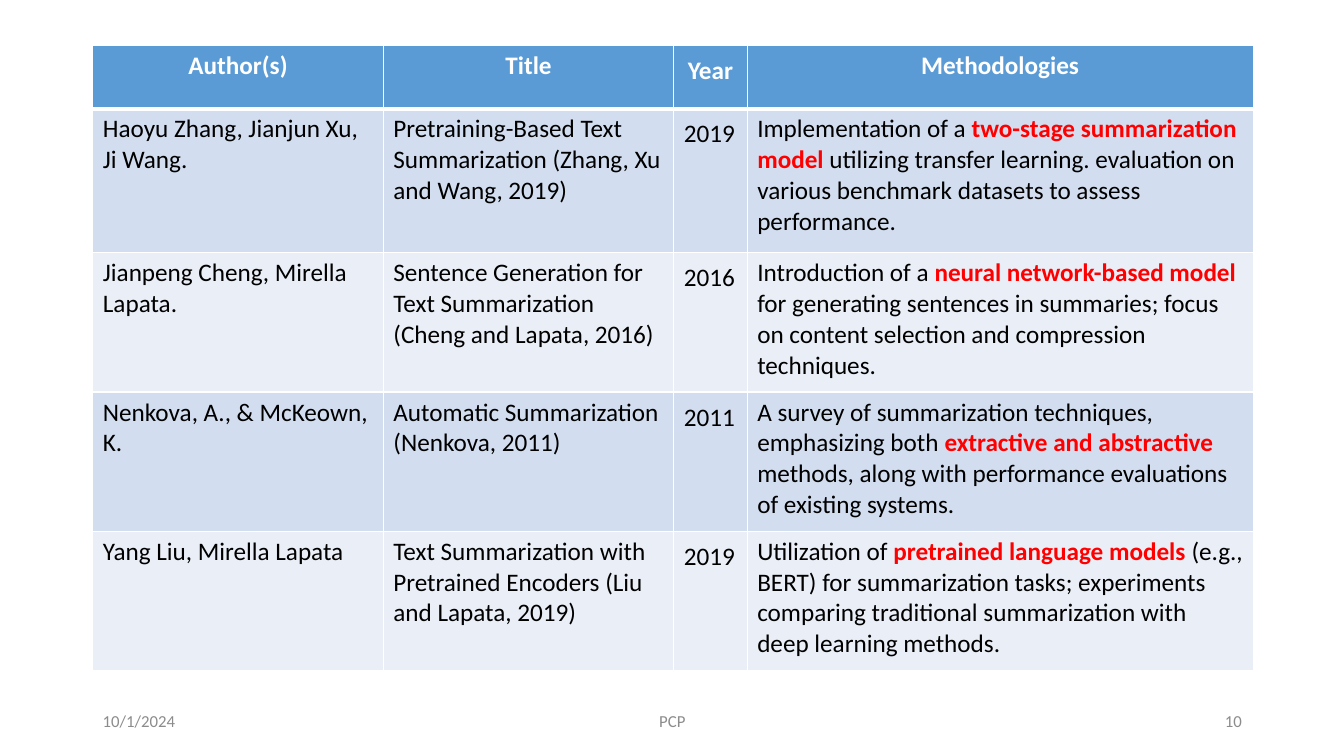
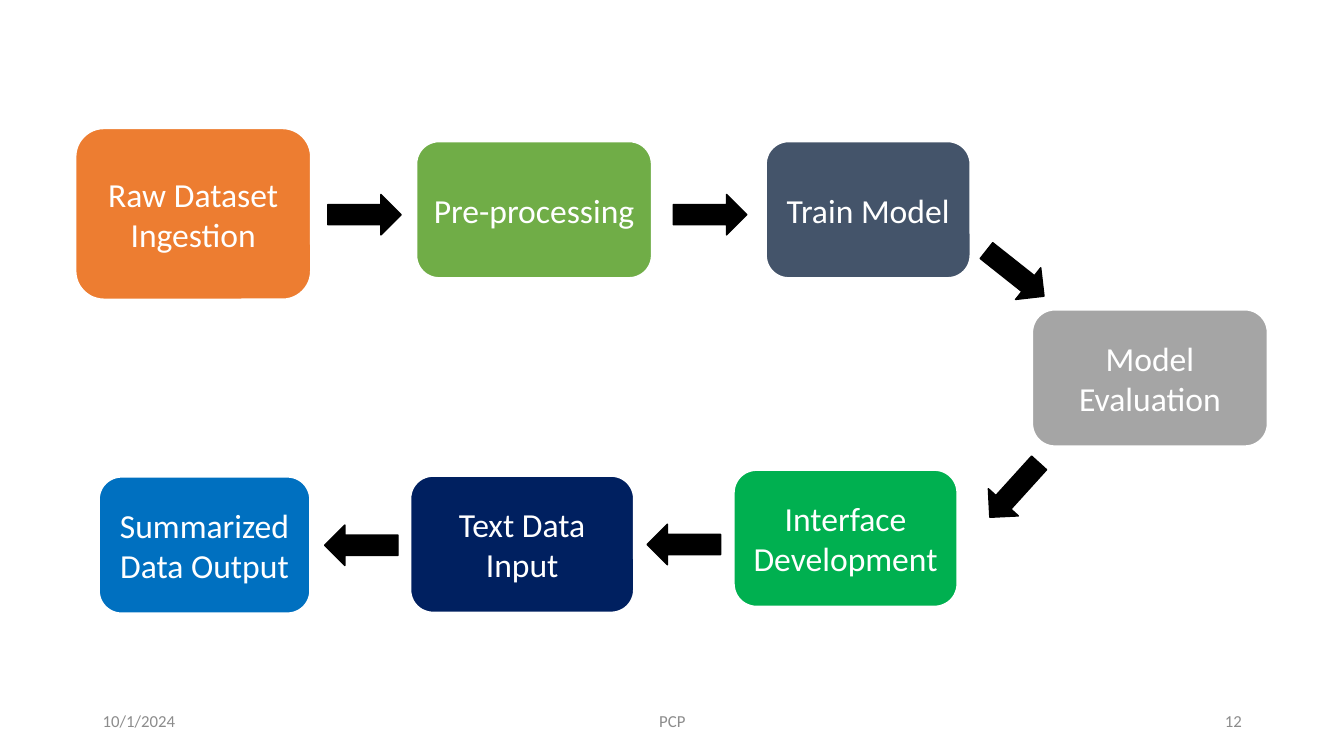
"""Build a literature table slide and a process flow slide with shared footers."""
from dataclasses import dataclass

from lxml import etree
from pptx import Presentation
from pptx import util as u
from pptx.dml.color import RGBColor
from pptx.enum import shapes, text
from pptx.oxml import ns

LEFT, CENTER, RIGHT = text.PP_ALIGN.LEFT, text.PP_ALIGN.CENTER, text.PP_ALIGN.RIGHT


@dataclass(frozen=True)
class Theme:
    font: str = "Calibri"
    white: str = "FFFFFF"
    black: str = "000000"
    muted: str = "8C8C8C"
    strong: str = "FF0000"
    header: str = "5B9BD5"
    bands: tuple = ("D2DEEF", "EAEFF7")
    footer_size: int = 12
    table_size: int = 18
    step_size: int = 24


THEME = Theme()

DATE, COURSE = "10/1/2024", "PCP"
FOOTER_TOP, FOOTER_HEIGHT = 17.65, 1.02

HEADINGS = ("Author(s)", "Title", "Year", "Methodologies")
STUDIES = [
    ("Haoyu Zhang, Jianjun Xu, Ji Wang.",
     "Pretraining-Based Text Summarization (Zhang, Xu and Wang, 2019)", "2019",
     ("Implementation of a ", "two-stage summarization model",
      " utilizing transfer learning. evaluation on various benchmark datasets to assess performance.")),
    ("Jianpeng Cheng, Mirella Lapata.",
     "Sentence Generation for Text Summarization (Cheng and Lapata, 2016)", "2016",
     ("Introduction of a ", "neural network-based model ",
      "for generating sentences in summaries; focus on content selection and compression techniques.")),
    ("Nenkova, A., & McKeown, K.",
     "Automatic Summarization (Nenkova, 2011)", "2011",
     ("A survey of summarization techniques, emphasizing both ", "extractive and abstractive",
      " methods, along with performance evaluations of existing systems.")),
    ("Yang Liu, Mirella Lapata",
     "Text Summarization with Pretrained Encoders (Liu and Lapata, 2019)", "2019",
     ("Utilization of ", "pretrained language models",
      " (e.g., BERT) for summarization tasks; experiments comparing traditional summarization"
      " with deep learning methods.")),
]
TABLE_LEFT, TABLE_TOP = 2.34, 1.14
COLUMN_WIDTHS = (7.32, 7.32, 1.85, 12.75)
ROW_HEIGHTS = (1.6, 3.63, 3.51, 3.51, 3.51)
YEAR_COLUMN = HEADINGS.index("Year")
YEAR_MARGIN_TOP = 0.25

STEP_HEIGHT, FIRST_STEP_HEIGHT = 3.45, 4.32
STEPS = [
    ("Raw Dataset Ingestion", "ED7D31", 1.9, 3.23, 5.94, FIRST_STEP_HEIGHT),
    ("Pre-processing", "70AD47", 10.49, 3.56, 5.94, STEP_HEIGHT),
    ("Train Model", "44546A", 19.3, 3.56, 5.16, STEP_HEIGHT),
    ("Model Evaluation", "A5A5A5", 26.01, 7.8, 5.94, STEP_HEIGHT),
    ("Interface Development", "00B050", 18.49, 11.84, 5.64, STEP_HEIGHT),
    ("Text Data Input", "002060", 10.34, 11.99, 5.64, STEP_HEIGHT),
    ("Summarized Data Output", "0070C0", 2.49, 12.01, 5.33, STEP_HEIGHT),
]
ARROW_SIZE = (1.85, 1.02)
ARROWS = [(8.26, 4.9, 0), (16.97, 4.9, 0), (24.66, 6.38, 38.4),
          (24.64, 11.84, 132.2), (16.31, 13.21, 180), (8.18, 13.23, 180)]


def cm(*lengths):
    return [u.Cm(length) for length in lengths]


def rgb(color):
    return RGBColor.from_string(color)


def write(frame, parts, size, color, align=LEFT, bold=False):
    paragraph = frame.paragraphs[0]
    paragraph.alignment = align
    for index, part in enumerate(parts):
        emphasized = index == 1
        run = paragraph.add_run()
        run.text = part
        run.font.name = THEME.font
        run.font.size = u.Pt(size)
        run.font.bold = bold or emphasized
        run.font.color.rgb = rgb(THEME.strong if emphasized else color)


def add_footer(slide, number):
    for content, left, width, align in ((DATE, 2.34, 7.62, LEFT),
                                        (COURSE, 11.23, 11.43, CENTER),
                                        (str(number), 23.93, 7.62, RIGHT)):
        frame = slide.shapes.add_textbox(*cm(left, FOOTER_TOP, width, FOOTER_HEIGHT)).text_frame
        frame.word_wrap = True
        frame.vertical_anchor = text.MSO_ANCHOR.MIDDLE
        write(frame, [content], THEME.footer_size, THEME.muted, align)


def add_slide(deck, number):
    slide = deck.slides.add_slide(deck.slide_layouts[6])
    add_footer(slide, number)
    return slide


def set_borders(cell, top, bottom):
    properties = cell._tc.get_or_add_tcPr()
    for side, points in (("L", 1), ("R", 1), ("T", top), ("B", bottom)):
        line = etree.SubElement(properties, ns.qn(f"a:ln{side}"), w=str(u.Pt(points)))
        fill = etree.SubElement(line, ns.qn("a:solidFill"))
        etree.SubElement(fill, ns.qn("a:srgbClr"), val=THEME.white)


def add_studies(slide):
    rows = [HEADINGS, *STUDIES]
    table = slide.shapes.add_table(
        len(rows), len(HEADINGS),
        *cm(TABLE_LEFT, TABLE_TOP, sum(COLUMN_WIDTHS), sum(ROW_HEIGHTS))).table
    for column, width in zip(table.columns, COLUMN_WIDTHS):
        column.width = u.Cm(width)
    for r, (row, height) in enumerate(zip(rows, ROW_HEIGHTS)):
        table.rows[r].height = u.Cm(height)
        heading = r == 0
        for c, content in enumerate(row):
            cell = table.cell(r, c)
            set_borders(cell, 3 if r == 1 else 1, 3 if heading else 1)
            cell.fill.solid()
            cell.fill.fore_color.rgb = rgb(THEME.header if heading else THEME.bands[(r - 1) % 2])
            if c == YEAR_COLUMN:
                cell.margin_top = u.Cm(YEAR_MARGIN_TOP)
            parts = [content] if isinstance(content, str) else content
            write(cell.text_frame, parts, THEME.table_size,
                  THEME.white if heading else THEME.black,
                  CENTER if heading else LEFT, heading)


def add_block(slide, preset, bounds, fill, line, points):
    block = slide.shapes.add_shape(preset, *cm(*bounds))
    block.shadow.inherit = False
    block.fill.solid()
    block.fill.fore_color.rgb = rgb(fill)
    block.line.color.rgb = rgb(line)
    block.line.width = u.Pt(points)
    return block


def add_flow(slide):
    for label, color, *bounds in STEPS:
        step = add_block(slide, shapes.MSO_SHAPE.ROUNDED_RECTANGLE, bounds, color, THEME.white, 1.5)
        step.text_frame.word_wrap = True
        step.text_frame.vertical_anchor = text.MSO_ANCHOR.MIDDLE
        write(step.text_frame, [label], THEME.step_size, THEME.white, CENTER)
    for left, top, angle in ARROWS:
        arrow = add_block(slide, shapes.MSO_SHAPE.RIGHT_ARROW, (left, top, *ARROW_SIZE),
                          THEME.black, THEME.black, 1)
        arrow.rotation = angle


def main():
    deck = Presentation()
    deck.slide_width, deck.slide_height = cm(33.87, 19.05)
    add_studies(add_slide(deck, 10))
    add_flow(add_slide(deck, 12))
    deck.save("out.pptx")


if __name__ == "__main__":
    main()
